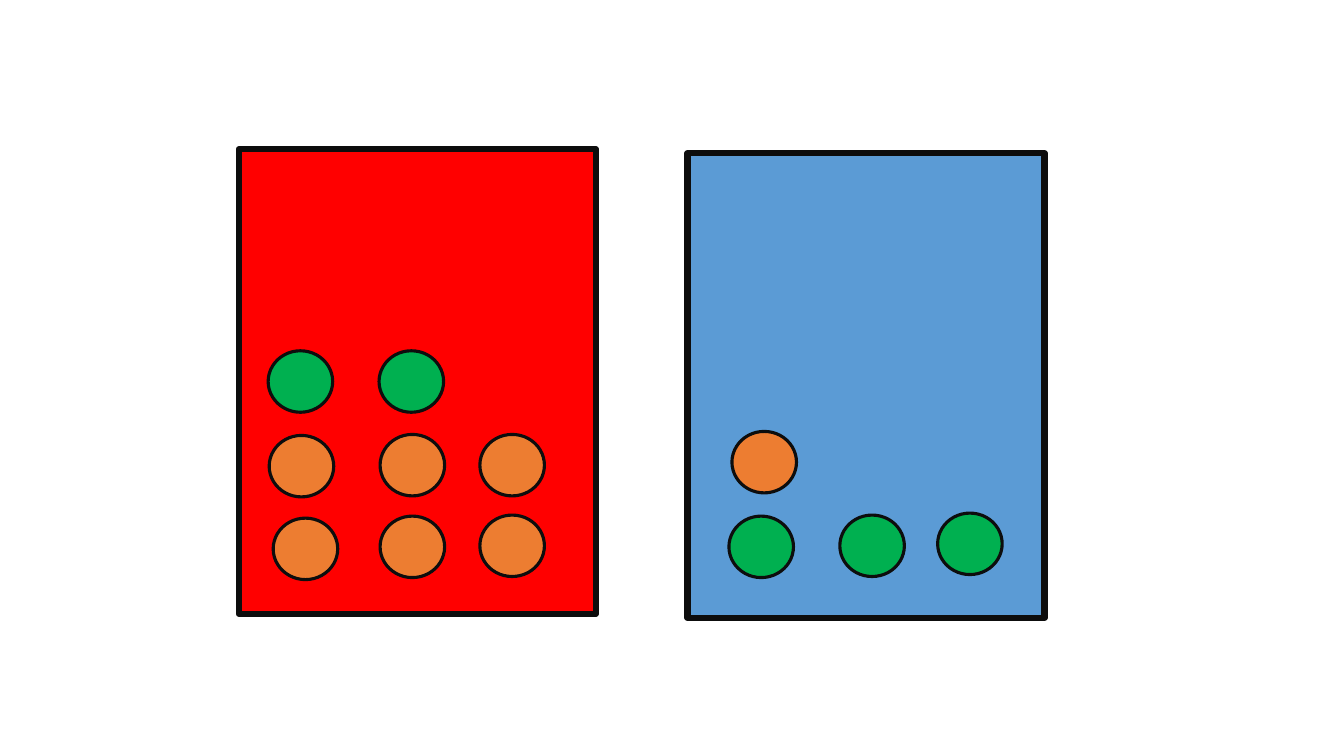
from pptx import Presentation
from pptx.dml.color import RGBColor
from pptx.enum.shapes import MSO_SHAPE as SHAPE
from pptx.util import Inches, Pt

RED = RGBColor(0xFF, 0x00, 0x00)
BLUE = RGBColor(0x5B, 0x9B, 0xD5)
ORANGE = RGBColor(0xED, 0x7D, 0x31)
GREEN = RGBColor(0x00, 0xB0, 0x50)
BLACK = RGBColor(0x0D, 0x0D, 0x0D)

BOX_SIZE = (3.54, 4.61)
BALL_SIZE = (0.64, 0.61)

# Each box: fill, (left, top), then rows of balls as (colour, positions).
# The balls are scattered slightly by hand, so each keeps its own position.
BOXES = [
    (RED, (2.37, 1.48), [
        (GREEN, [(2.66, 3.48), (3.76, 3.48)]),
        (ORANGE, [(2.67, 4.32), (3.77, 4.31), (4.76, 4.31)]),
        (ORANGE, [(2.71, 5.14), (3.77, 5.12), (4.76, 5.11)]),
    ]),
    (BLUE, (6.82, 1.52), [
        (ORANGE, [(7.26, 4.28)]),
        (GREEN, [(7.23, 5.12), (8.33, 5.11), (9.3, 5.09)]),
    ]),
]


def add_outlined(slide, kind, position, size, fill, line_width):
    """Add a filled shape with a black outline and no shadow."""
    sp = slide.shapes.add_shape(kind, *map(Inches, position + size))
    sp.shadow.inherit = False
    sp.fill.solid()
    sp.fill.fore_color.rgb = fill
    sp.line.color.rgb = BLACK
    sp.line.width = Pt(line_width)


prs = Presentation()
prs.slide_width, prs.slide_height = Inches(13.33), Inches(7.5)
s = prs.slides.add_slide(prs.slide_layouts[6])

for box_fill, box_position, rows in BOXES:
    add_outlined(s, SHAPE.RECTANGLE, box_position, BOX_SIZE, box_fill, 4.5)
    for ball_fill, positions in rows:
        for position in positions:
            add_outlined(s, SHAPE.FLOWCHART_CONNECTOR, position, BALL_SIZE,
                         ball_fill, 2.25)

prs.save("out.pptx")
